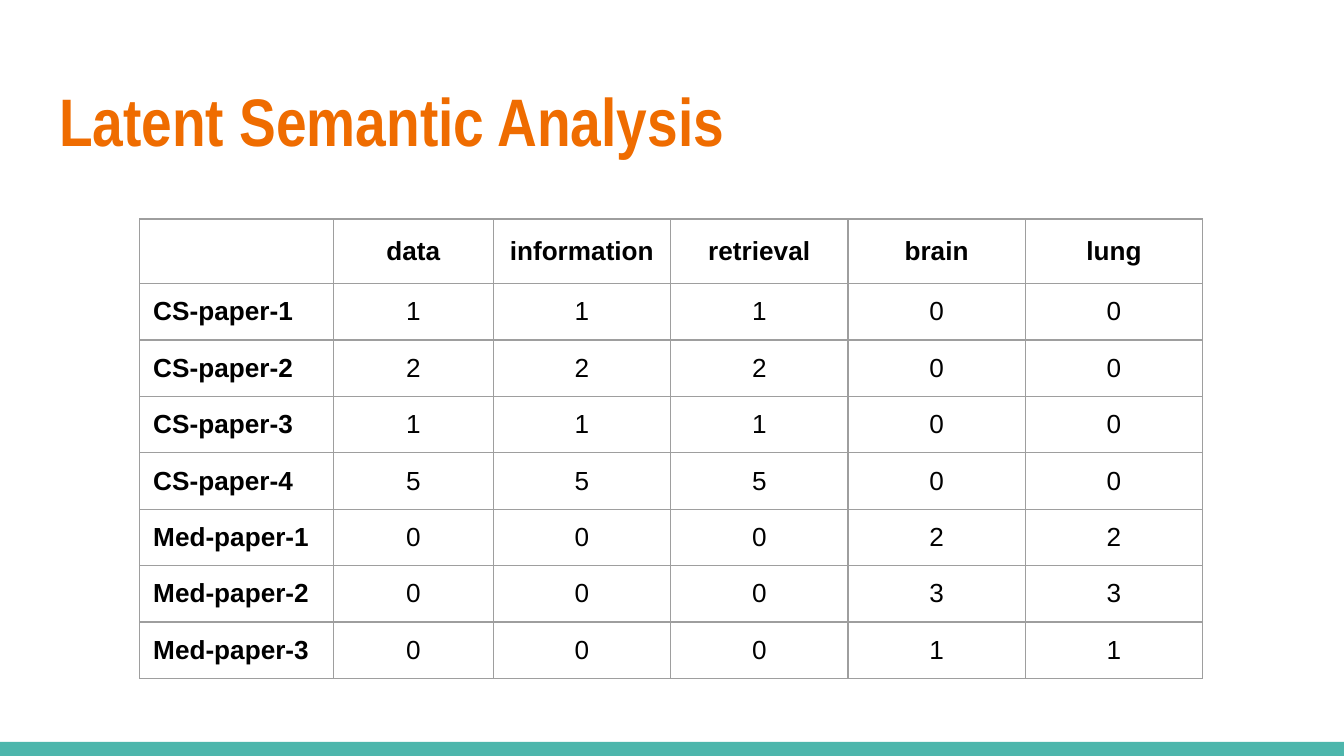
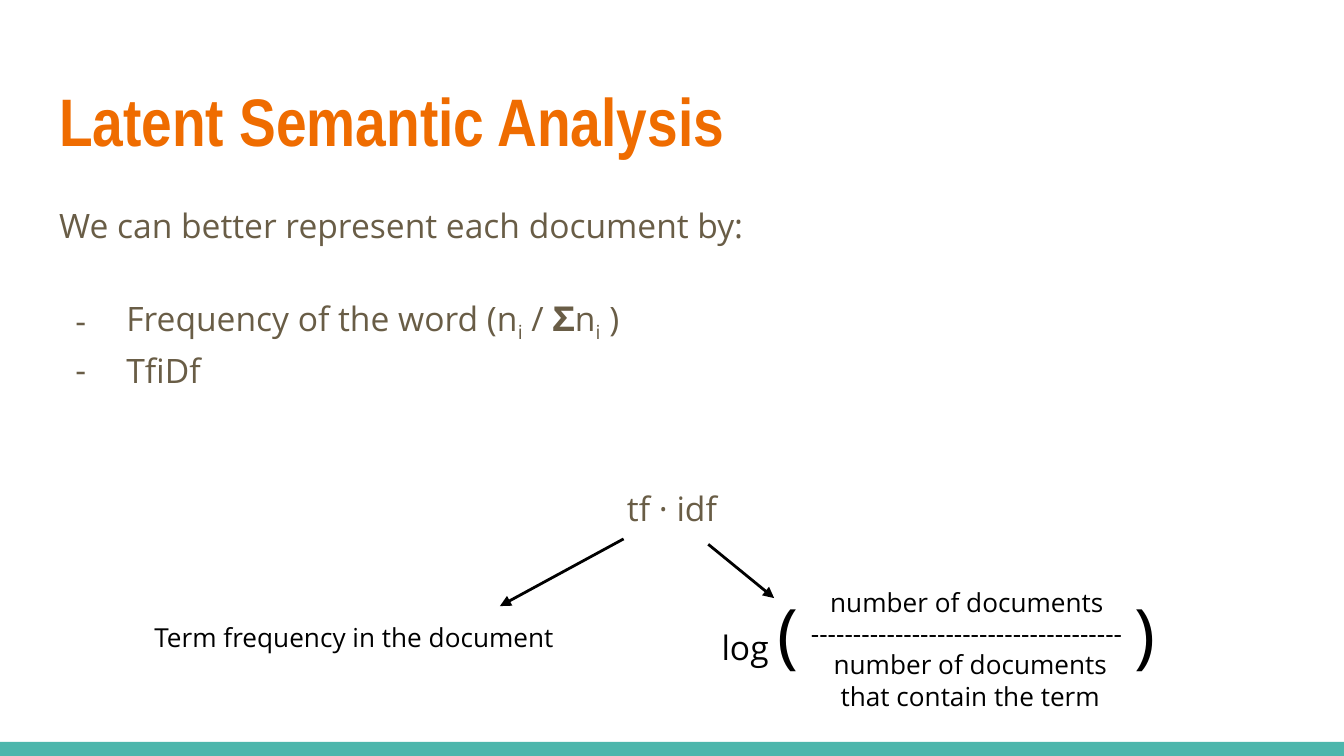
from pptx import Presentation
from pptx.dml.color import RGBColor
from pptx.enum.shapes import MSO_CONNECTOR, MSO_SHAPE
from pptx.enum.text import MSO_ANCHOR, MSO_AUTO_SIZE, PP_ALIGN
from pptx.oxml.ns import qn
from pptx.util import Inches, Pt
from lxml.etree import SubElement

COLORS = {"band": "4DB6AC", "title": "EF6C00", "body": "695D46",
          "text": "000000", "grid": "9E9E9E", "bg": "FFFFFF"}
INSET = Inches(0.1)


def style_runs(p, font, size, color, bold=False):
    for r in p.runs:
        r.font.name = font
        r.font.size = Pt(size)
        r.font.bold = bold
        r.font.color.rgb = RGBColor.from_string(COLORS[color])


def place(sp, left, top, width, height):
    sp.left, sp.top = Inches(left), Inches(top)
    sp.width, sp.height = Inches(width), Inches(height)
    tf = sp.text_frame
    tf.word_wrap = True
    tf.auto_size = MSO_AUTO_SIZE.NONE
    tf.vertical_anchor = MSO_ANCHOR.TOP
    tf.margin_left = tf.margin_right = tf.margin_top = tf.margin_bottom = INSET
    return tf


prs = Presentation()
prs.slide_width = Inches(10)
prs.slide_height = prs.slide_width * 9 // 16
table_slide = prs.slides.add_slide(prs.slide_layouts[5])
tfidf_slide = prs.slides.add_slide(prs.slide_layouts[1])

for s in (table_slide, tfidf_slide):
    s.background.fill.solid()
    s.background.fill.fore_color.rgb = RGBColor.from_string(COLORS["bg"])
    band = s.shapes.add_shape(MSO_SHAPE.RECTANGLE, 0, Inches(5.52), Inches(10), Inches(0.11))
    band.shadow.inherit = False
    band.fill.solid()
    band.fill.fore_color.rgb = RGBColor.from_string(COLORS["band"])
    band.line.fill.background()
    tf = place(s.shapes.title, 0.34, 0.49, 9.32, 0.77)
    tf.text = "Latent Semantic Analysis"
    tf.paragraphs[0].alignment = PP_ALIGN.LEFT
    style_runs(tf.paragraphs[0], "Arial Narrow", 36, "title", True)

rows = [
    ["", "data", "information", "retrieval", "brain", "lung"],
    ["CS-paper-1", 1, 1, 1, 0, 0],
    ["CS-paper-2", 2, 2, 2, 0, 0],
    ["CS-paper-3", 1, 1, 1, 0, 0],
    ["CS-paper-4", 5, 5, 5, 0, 0],
    ["Med-paper-1", 0, 0, 0, 2, 2],
    ["Med-paper-2", 0, 0, 0, 3, 3],
    ["Med-paper-3", 0, 0, 0, 1, 1],
]
widths = [1.44, 1.19] + [1.32] * 4
table = table_slide.shapes.add_table(len(rows), len(widths), Inches(1.04), Inches(1.63),
                                     Inches(sum(widths)), Inches(0.42 * len(rows))).table
table.first_row = table.horz_banding = False
for col, width in zip(table.columns, widths):
    col.width = Inches(width)
for i, row in enumerate(rows):
    table.rows[i].height = Inches(0.42)
    for j, value in enumerate(row):
        cell = table.cell(i, j)
        cell.margin_left = cell.margin_right = cell.margin_top = cell.margin_bottom = INSET
        cell.vertical_anchor = MSO_ANCHOR.MIDDLE if j else MSO_ANCHOR.TOP
        tcPr = cell._tc.get_or_add_tcPr()
        for side in ("lnL", "lnR", "lnT", "lnB"):
            ln = SubElement(tcPr, qn(f"a:{side}"), w=str(Pt(0.75)))
            fill = SubElement(ln, qn("a:solidFill"))
            SubElement(fill, qn("a:srgbClr"), val=COLORS["grid"])
        cell.fill.background()
        p = cell.text_frame.paragraphs[0]
        if value == "":
            end = SubElement(p._p, qn("a:endParaRPr"), sz="1800")
            SubElement(end, qn("a:latin"), typeface="Arial")
        else:
            p.text = str(value)
            p.alignment = PP_ALIGN.CENTER if j else PP_ALIGN.LEFT
            style_runs(p, "Arial", 14, "text", i == 0 or j == 0)

s = tfidf_slide
tf = place(s.placeholders[1], 0.34, 1.38, 9.32, 2.84)
body = [
    (["We can better represent each document by:"], False, PP_ALIGN.LEFT, 24.5),
    (["Frequency of the word (n", "i", " / 𝚺n", "i", " )"], True, PP_ALIGN.LEFT, 0),
    (["TfiDf"], True, PP_ALIGN.LEFT, 49.5),
    (["tf · idf"], False, PP_ALIGN.CENTER, 16),
]
for i, (parts, bulleted, align, after) in enumerate(body):
    p = tf.add_paragraph() if i else tf.paragraphs[0]
    p.alignment = align
    p.line_spacing = 1.15
    p.space_before, p.space_after = Pt(0), Pt(after)
    pPr = p._p.get_or_add_pPr()
    pPr.set("marL", str(Inches(0.5) if bulleted else 0))
    pPr.set("indent", str(Inches(-0.38) if bulleted else 0))
    if bulleted:
        color = SubElement(pPr, qn("a:buClr"))
        SubElement(color, qn("a:srgbClr"), val=COLORS["body"])
        SubElement(pPr, qn("a:buFont"), typeface="Open Sans")
        SubElement(pPr, qn("a:buChar"), char="-")
    else:
        SubElement(pPr, qn("a:buNone"))
    for part in parts:
        r = p.add_run()
        r.text = part
        if part == "i":
            r.font._element.set("baseline", "-25000")
    style_runs(p, "Open Sans", 18, "body")

labels = [
    ((1.05, 4.52, 3.34, 0.41), PP_ALIGN.LEFT, [[("Term frequency in the document", 14)]]),
    ((5.91, 4.26, 2.62, 1.03), PP_ALIGN.CENTER,
     [[("number of documents ", 14)],
      [("------------------------------------- ", 14)],
      [("number of documents that contain the term", 14)]]),
    ((5.27, 4.29, 0.85, 0.87), PP_ALIGN.LEFT, [[("log ", 18), ("(", 38)]]),
    ((8.34, 4.29, 0.85, 0.87), PP_ALIGN.LEFT, [[(")", 38)]]),
]
for box, align, lines in labels:
    tf = place(s.shapes.add_textbox(0, 0, 0, 0), *box)
    for i, line in enumerate(lines):
        p = tf.add_paragraph() if i else tf.paragraphs[0]
        p.alignment = align
        for text, size in line:
            r = p.add_run()
            r.text = text
        style_runs(p, "Open Sans", size, "text")
        for r, (text, size) in zip(p.runs, line):
            r.font.size = Pt(size)

for ends in ((4.64, 4.01, 3.72, 4.51), (5.27, 4.05, 5.76, 4.45)):
    arrow = s.shapes.add_connector(MSO_CONNECTOR.STRAIGHT, *[Inches(v) for v in ends])
    arrow.line.color.rgb = RGBColor.from_string(COLORS["text"])
    arrow.line.width = Pt(1.5)
    SubElement(arrow.line._get_or_add_ln(), qn("a:tailEnd"), type="triangle")
    SubElement(arrow._element.spPr, qn("a:effectLst"))

prs.save("out.pptx")
